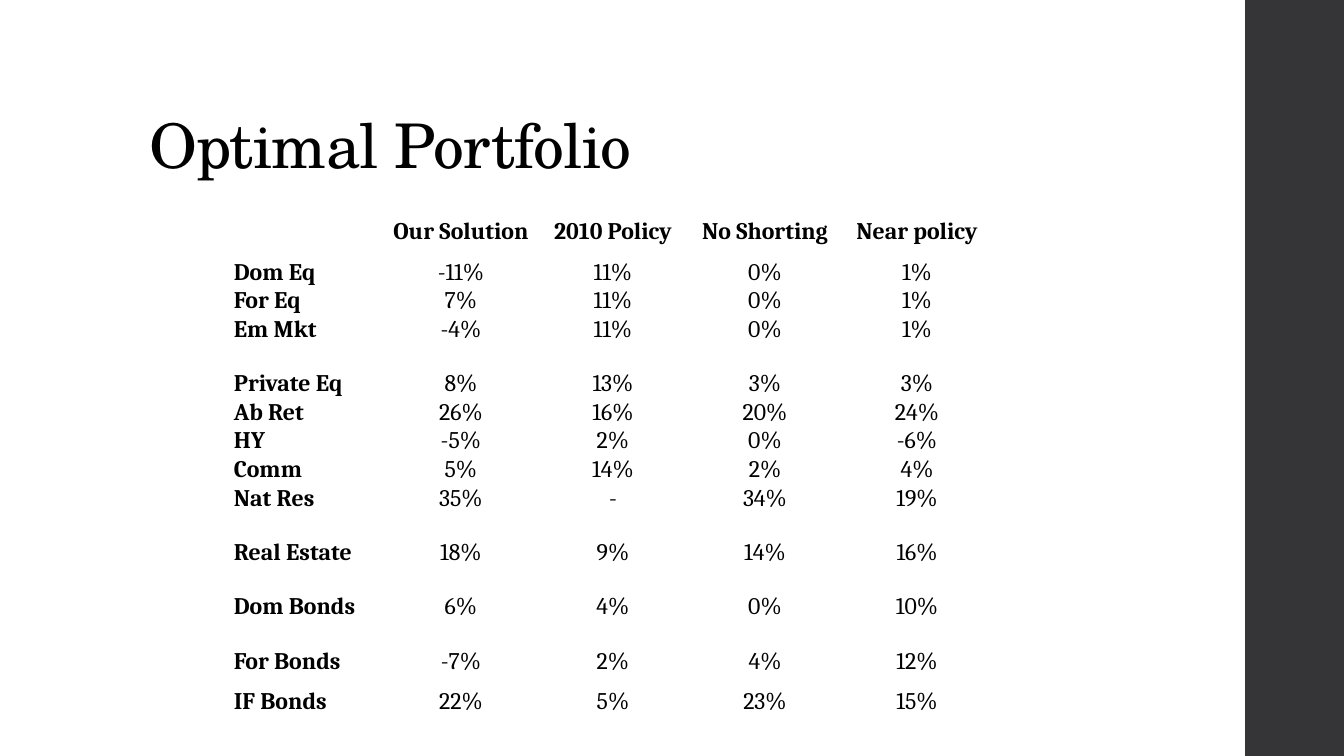
from dataclasses import dataclass

from pptx import Presentation
from pptx.dml.color import RGBColor
from pptx.enum.shapes import MSO_SHAPE
from pptx.enum.text import MSO_ANCHOR, PP_ALIGN
from pptx.util import Inches, Pt


@dataclass(frozen=True)
class Theme:
    paper: RGBColor = RGBColor(0xFF, 0xFF, 0xFF)
    ink: RGBColor = RGBColor(0, 0, 0)
    band: RGBColor = RGBColor(0x35, 0x35, 0x37)
    title_font: str = "TeX Gyre Schola"
    body_font: str = "Cambria"
    title_size: int = 44
    body_size: int = 17


THEME = Theme()
HEADERS = ["", "Our Solution", "2010 Policy", "No Shorting", "Near policy"]
# Row height in inches, then the cells
HOLDINGS = [
    (0.4, "Dom Eq", "-11%", "11%", "0%", "1%"),
    (0.28, "For Eq", "7%", "11%", "0%", "1%"),
    (0.28, "Em Mkt", "-4%", "11%", "0%", "1%"),
    (0.54, "Private Eq", "8%", "13%", "3%", "3%"),
    (0.28, "Ab Ret", "26%", "16%", "20%", "24%"),
    (0.28, "HY", "-5%", "2%", "0%", "-6%"),
    (0.28, "Comm", "5%", "14%", "2%", "4%"),
    (0.28, "Nat Res", "35%", "-", "34%", "19%"),
    (0.54, "Real Estate", "18%", "9%", "14%", "16%"),
    (0.54, "Dom Bonds", "6%", "4%", "0%", "10%"),
    (0.54, "For Bonds", "-7%", "2%", "4%", "12%"),
    (0.4, "IF Bonds", "22%", "5%", "23%", "15%"),
]


def write(tf, text, *, font=THEME.body_font, size=THEME.body_size, bold=False,
          align=PP_ALIGN.LEFT, line_spacing=None, tracking=None):
    p = tf.paragraphs[0]
    p.alignment = align
    p.line_spacing = line_spacing
    r = p.add_run()
    r.text = text
    r.font.name, r.font.size, r.font.bold = font, Pt(size), bold
    r.font.color.rgb = THEME.ink
    if tracking is not None:
        r.font._element.set("spc", str(round(tracking * 100)))


def add_side_band(slide, x, y, w, h):
    sp = slide.shapes.add_shape(MSO_SHAPE.RECTANGLE, Inches(x), Inches(y), Inches(w), Inches(h))
    sp.shadow.inherit = False
    sp.fill.solid()
    sp.fill.fore_color.rgb = THEME.band
    sp.line.fill.background()


def place_title(slide, text, x, y, w, h):
    title = slide.shapes.title
    title.left, title.top, title.width, title.height = map(Inches, (x, y, w, h))
    tf = title.text_frame
    tf.word_wrap = True
    tf.vertical_anchor = MSO_ANCHOR.BOTTOM
    write(tf, text, font=THEME.title_font, size=THEME.title_size, line_spacing=0.9, tracking=-0.5)


def add_portfolio_table(slide, x, y, w):
    rows = [(0.59, *HEADERS), *HOLDINGS]
    height = sum(row[0] for row in rows)
    table = slide.shapes.add_table(len(rows), len(HEADERS), Inches(x), Inches(y),
                                   Inches(w), Inches(height)).table
    table.first_row = table.horz_banding = False
    for column in table.columns:
        column.width = Inches(w / len(HEADERS))
    for i, (row_height, *texts) in enumerate(rows):
        table.rows[i].height = Inches(row_height)
        for j, text in enumerate(texts):
            cell = table.cell(i, j)
            cell.fill.solid()
            cell.fill.fore_color.rgb = THEME.paper
            cell.vertical_anchor = MSO_ANCHOR.BOTTOM
            cell.margin_left = cell.margin_right = cell.margin_top = Inches(0.01)
            cell.margin_bottom = 0
            if text:
                write(cell.text_frame, text, bold=i == 0 or j == 0,
                      align=PP_ALIGN.CENTER if j else PP_ALIGN.LEFT)


def build_portfolio_slide(prs):
    s = prs.slides.add_slide(prs.slide_layouts[5])
    s.background.fill.solid()
    s.background.fill.fore_color.rgb = THEME.paper
    add_side_band(s, 12.35, 0, 0.98, 7.5)
    place_title(s, "Optimal Portfolio", 1.38, 0.4, 10.6, 1.45)
    add_portfolio_table(s, 2.31, 1.85, 7.54)


def main():
    prs = Presentation()
    prs.slide_width, prs.slide_height = Inches(13.33), Inches(7.5)
    build_portfolio_slide(prs)
    prs.save("out.pptx")


if __name__ == "__main__":
    main()
